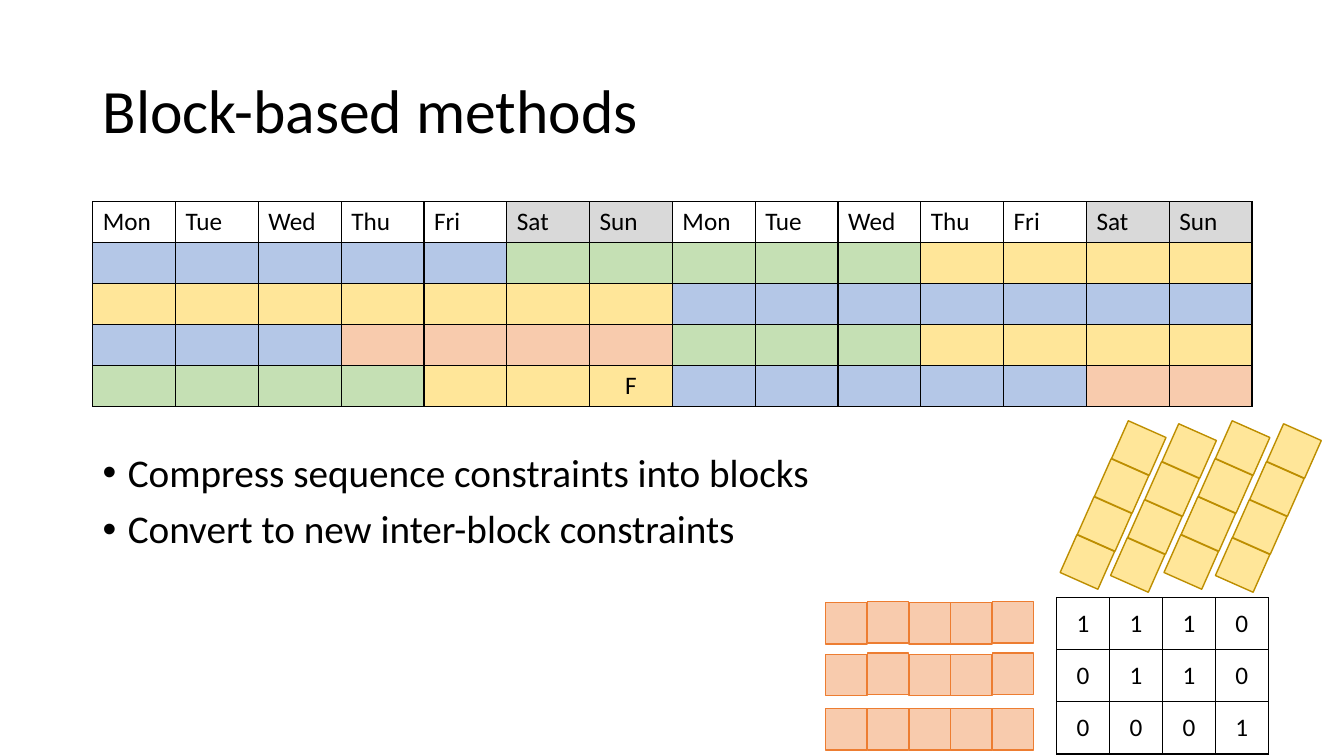
from pptx import Presentation
from pptx.dml.color import RGBColor
from pptx.enum.shapes import MSO_SHAPE as Shape
from pptx.enum.text import MSO_ANCHOR as Anchor, PP_ALIGN as Align
from pptx.oxml import parse_xml
from pptx.oxml.ns import nsdecls
from pptx.util import Inches, Pt

BLACK = RGBColor(0x00, 0x00, 0x00)
GREY = RGBColor(0xD9, 0xD9, 0xD9)
BLUE = RGBColor(0xB4, 0xC7, 0xE7)
GREEN = RGBColor(0xC5, 0xE0, 0xB4)
GOLD = RGBColor(0xFF, 0xE6, 0x99)
OCHRE = RGBColor(0xBD, 0x8E, 0x00)
PEACH = RGBColor(0xF8, 0xCB, 0xAD)
RUST = RGBColor(0xED, 0x7D, 0x31)


def put(para, text, size=18, align=Align.LEFT, bullet=False, before=0, line=1.0):
    if bullet:
        props = para._p.get_or_add_pPr()
        props.set("marL", str(Inches(0.25)))
        props.set("indent", str(-Inches(0.25)))
        props.append(parse_xml(f'<a:buFont {nsdecls("a")} typeface="Arial"/>'))
        props.append(parse_xml(f'<a:buChar {nsdecls("a")} char="•"/>'))
    para.alignment = align
    para.line_spacing = line
    para.space_before = Pt(before)
    para.font.size = Pt(size)
    if text:
        run = para.add_run()
        run.text = text
        run.font.name = "Calibri"
        run.font.size = Pt(size)
        run.font.color.rgb = BLACK


def grid(rows, left, top, width, height):
    """Add a ruled table; each cell is (text, fill, alignment, anchor)."""
    frame = slide.shapes.add_table(
        len(rows), len(rows[0]),
        Inches(left), Inches(top), Inches(width), Inches(height))
    table = frame.table
    table.first_row = table.horz_banding = False
    for r, row in enumerate(rows):
        for c, (text, fill, align, anchor) in enumerate(row):
            cell = table.cell(r, c)
            props = cell._tc.get_or_add_tcPr()
            for side in "LRTB":
                props.append(parse_xml(
                    f'<a:ln{side} {nsdecls("a")} w="12700"><a:solidFill>'
                    f'<a:srgbClr val="{BLACK}"/></a:solidFill></a:ln{side}>'))
            if fill:
                cell.fill.solid()
                cell.fill.fore_color.rgb = fill
            else:
                cell.fill.background()
            cell.vertical_anchor = anchor
            put(cell.text_frame.paragraphs[0], text, align=align)


deck = Presentation()
deck.slide_width, deck.slide_height = Inches(13.33), Inches(7.5)
slide = deck.slides.add_slide(deck.slide_layouts[5])

# Title
title = slide.shapes.title
title.left, title.top = Inches(0.92), Inches(0.4)
title.width, title.height = Inches(11.5), Inches(1.45)
title.text_frame.vertical_anchor = Anchor.MIDDLE
put(title.text_frame.paragraphs[0], "Block-based methods", size=44, line=0.9)

# Bullets
body = slide.shapes.add_textbox(Inches(0.92), Inches(4.45), Inches(11.5), Inches(2.31))
frame = body.text_frame
frame.word_wrap = True
points = ["Compress sequence constraints into blocks",
          "Convert to new inter-block constraints"]
for i, point in enumerate(points):
    para = frame.add_paragraph() if i else frame.paragraphs[0]
    put(para, point, size=28, bullet=True, before=10 if i else 0, line=0.9)

# Two-week roster: each row lists its blocks as (colour, days)
days = ["Mon", "Tue", "Wed", "Thu", "Fri", "Sat", "Sun"] * 2
rows = [[(day, GREY if day[0] == "S" else None, Align.LEFT, Anchor.TOP)
         for day in days]]
shifts = [
    [(BLUE, 5), (GREEN, 5), (GOLD, 4)],
    [(GOLD, 7), (BLUE, 7)],
    [(BLUE, 3), (PEACH, 4), (GREEN, 3), (GOLD, 4)],
    [(GREEN, 4), (GOLD, 3), (BLUE, 5), (PEACH, 2)],
]
for shift in shifts:
    rows.append([("", fill, Align.LEFT, Anchor.TOP)
                 for fill, count in shift for _ in range(count)])
rows[4][6] = ("F", GOLD, Align.CENTER, Anchor.TOP)
grid(rows, 0.92, 2, 11.5, 2.03)

# Matrix of allowed block pairs
pairs = [[(bit, None, Align.CENTER, Anchor.MIDDLE) for bit in line]
         for line in ("1110", "0110", "0001")]
grid(pairs, 10.48, 5.93, 2.1, 1.55)

# Block strips: left, top, step across, step down, turn, fill, line, raised boxes
strips = [(left, top, 0.17, -0.377, 293.9, GOLD, OCHRE, "0000")
          for left, top in ((10.58, 5.37), (11.08, 5.4), (11.61, 5.37), (12.12, 5.4))]
strips += [(8.19, top, 0.413, 0, 0, PEACH, RUST, lifts)
           for top, lifts in ((5.98, "01001"), (6.49, "01001"), (7.03, "00000"))]
for left, top, across, down, turn, fill, edge, lifts in strips:
    strip = slide.shapes.add_group_shape()
    for i, lift in enumerate(lifts):
        box = strip.shapes.add_shape(
            Shape.RECTANGLE, Inches(left + i * across),
            Inches(top + i * down - int(lift) * 0.01), Inches(0.41), Inches(0.41))
        box.rotation = turn
        box.shadow.inherit = False
        box.fill.solid()
        box.fill.fore_color.rgb = fill
        box.line.color.rgb = edge
        box.line.width = Pt(1)

deck.save("out.pptx")
